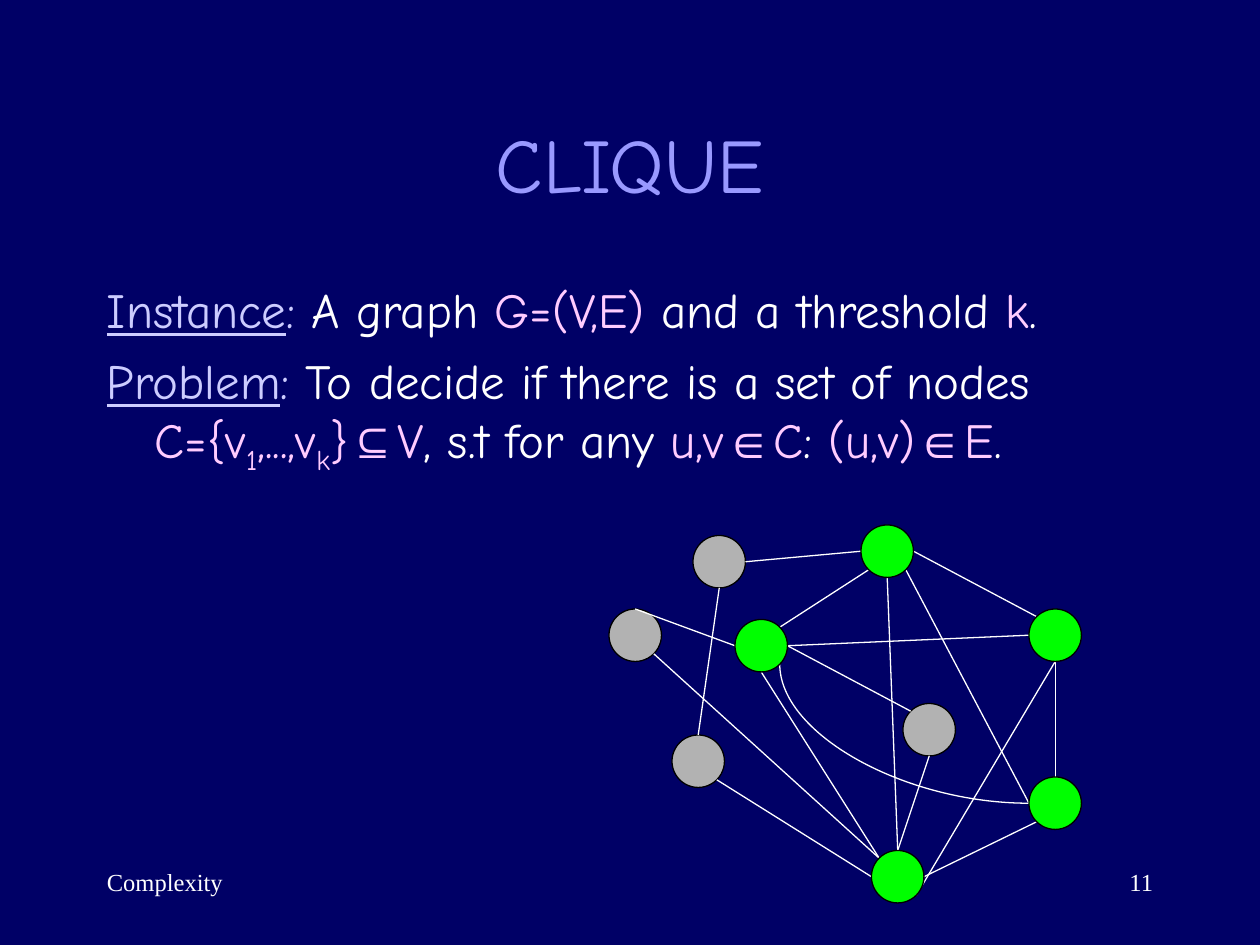
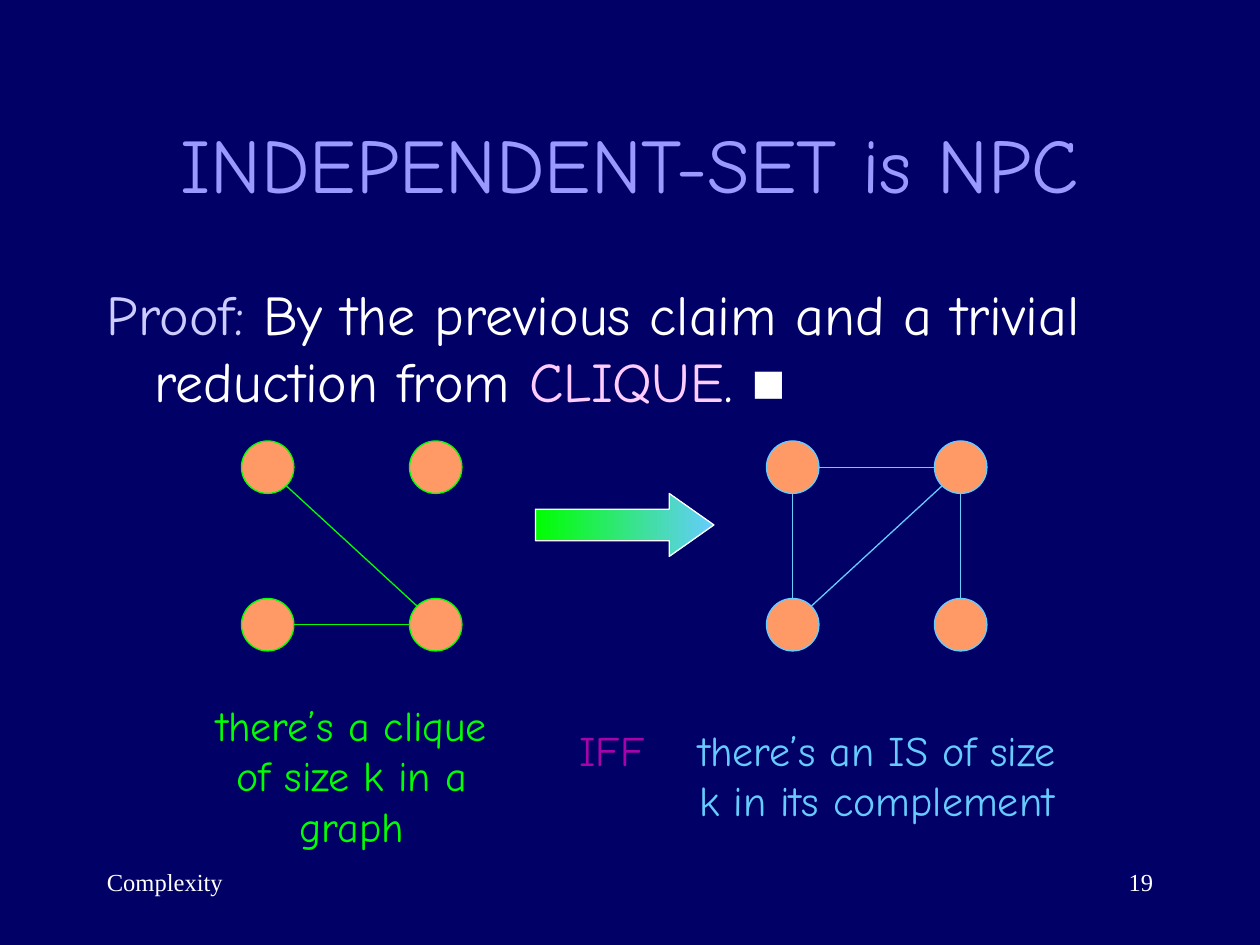
from lxml import etree
from pptx import Presentation
from pptx.dml.color import RGBColor
from pptx.enum.shapes import MSO_CONNECTOR as LINK, MSO_SHAPE as SHAPE
from pptx.enum.text import MSO_ANCHOR as ANCHOR, PP_ALIGN as ALIGN
from pptx.oxml.ns import qn
from pptx.util import Inches, Pt

# The slide is a grid of 120 columns by 90 rows
CELL = Inches(10) / 120
NODE = 5
DIAGONAL = NODE / 2 * 0.7071
HAND, SYMBOL, SERIF = "Comic Neue", "Arial", "Times New Roman"
NAVY, WHITE, BLACK, GREY = "000066", "FFFFFF", "000000", "B2B2B2"
TITLE, LABEL, MATH, PURPLE = "9999FF", "CCCCFF", "FFCCFF", "A603AB"
GREEN, SKY, ORANGE = "00FF00", "66CCFF", "FF9966"
rgb = RGBColor.from_string


def add_text(s, box, paragraphs, size, font=HAND, align=ALIGN.LEFT,
             anchor=ANCHOR.TOP, before=0, hang=0, wrap=True):
    """Each paragraph is a list of runs: (text, colour, *marks).

    Marks are "u" (underline), "sub" (subscript) and "sym" (symbol font).
    """
    tf = s.shapes.add_textbox(*(round(n * CELL) for n in box)).text_frame
    tf.word_wrap, tf.vertical_anchor = wrap, anchor
    for i, runs in enumerate(paragraphs):
        p = tf.add_paragraph() if i else tf.paragraphs[0]
        p.alignment, p.space_before = align, Pt(before)
        if hang:
            pPr = p._p.get_or_add_pPr()
            pPr.set("marL", str(Inches(hang)))
            pPr.set("indent", str(-Inches(hang)))
        for words, colour, *marks in runs:
            r = p.add_run()
            r.text = words
            r.font.size, r.font.color.rgb = Pt(size), rgb(colour)
            r.font.name = SYMBOL if "sym" in marks else font
            if "u" in marks:
                r.font.underline = True
            if "sub" in marks:
                r.font._element.set("baseline", "-25000")


def draw_graph(s, nodes, edges, line, under=()):
    """Draw the nodes in under, then the edges, then the other nodes.

    An edge is "node.side node.side", with compass points as sides.
    """
    def end(name):
        node, side = name.split(".")
        x, y = nodes[node][:2]
        reach = DIAGONAL if len(side) == 2 else NODE / 2
        dx = ("e" in side) - ("w" in side)
        dy = ("s" in side) - ("n" in side)
        return (round((x + NODE / 2 + dx * reach) * CELL),
                round((y + NODE / 2 + dy * reach) * CELL))

    def draw_nodes(names):
        for name in names:
            x, y, fill, outline = nodes[name]
            sp = s.shapes.add_shape(SHAPE.OVAL, *(round(n * CELL) for n in (x, y, NODE, NODE)))
            sp.shadow.inherit = False
            sp.fill.solid()
            sp.fill.fore_color.rgb = rgb(fill)
            sp.line.color.rgb, sp.line.width = rgb(outline), Pt(0.75)

    draw_nodes(under)
    for edge in edges:
        start, stop, *curved = edge.split()
        link = s.shapes.add_connector(LINK.CURVE if curved else LINK.STRAIGHT,
                                      *end(start), *end(stop))
        link.line.color.rgb, link.line.width = rgb(line), Pt(0.75)
        spPr = link._element.spPr
        etree.SubElement(spPr, qn("a:effectLst"))
        if curved:
            spPr.find(qn("a:prstGeom")).set("prst", "curvedConnector2")
    draw_nodes(name for name in nodes if name not in under)


prs = Presentation()
prs.slide_width, prs.slide_height = Inches(10), Inches(7.5)
background = prs.slide_master.background.fill
background.solid()
background.fore_color.rgb = rgb(NAVY)

# Title and footers of both slides
slides = []
for title, number in (("CLIQUE", "11"), ("INDEPENDENT-SET is NPC", "19")):
    s = prs.slides.add_slide(prs.slide_layouts[6])
    add_text(s, (9, 8, 102, 15), [[(title, TITLE)]], 44,
             align=ALIGN.CENTER, anchor=ANCHOR.MIDDLE)
    add_text(s, (86, 82, 25, 6), [[(number, WHITE)]], 14, SERIF, ALIGN.RIGHT)
    add_text(s, (9, 82, 25, 6), [[("Complexity", WHITE)]], 14, SERIF)
    slides.append(s)
clique, independent = slides

# CLIQUE: definition and a graph with a clique of five
add_text(clique, (9, 26, 102, 25), [
    [("Instance", LABEL, "u"), (":", LABEL), (" A graph ", WHITE), ("G=(V,E)", MATH),
     (" and a threshold ", WHITE), ("k", MATH), (".", WHITE)],
    [("Problem", LABEL, "u"), (":", LABEL),
     (" To decide if there is a set of nodes ", WHITE),
     ("C={v", MATH), ("1", MATH, "sub"), (",...,v", MATH), ("k", MATH, "sub"),
     ("}", MATH), ("⊆", MATH, "sym"), ("V", MATH), (", s.t for any ", WHITE),
     ("u,v", MATH), ("∈", MATH, "sym"), ("C", MATH), (": ", WHITE),
     ("(u,v)", MATH), ("∈", MATH, "sym"), ("E", MATH), (".", WHITE)],
], 28, before=7, hang=0.38)

outsiders = {"top": (66, 51), "left": (58, 58), "low": (64, 70), "inner": (86, 67)}
members = {"east": (98, 74), "south": (83, 81), "north_east": (98, 58),
           "west": (70, 59), "north": (82, 50)}
nodes = {name: (*at, GREY, BLACK) for name, at in outsiders.items()}
nodes.update({name: (*at, GREEN, BLACK) for name, at in members.items()})
draw_graph(clique, nodes, [
    "top.s low.n", "west.w left.n", "left.se south.nw", "west.e inner.nw",
    "inner.s south.n", "north.s south.n", "top.e north.w", "north.e north_east.nw",
    "north_east.s east.n", "south.e east.sw", "low.se south.w",
    "north_east.s south.se", "north.se east.w", "west.ne north.sw",
    "west.e north_east.w", "east.w west.se curved", "west.s south.nw",
], WHITE, under=outsiders)

# INDEPENDENT-SET: proof, a graph and its complement
add_text(independent, (9, 26, 102, 15), [
    [("Proof:", LABEL),
     (" By the previous claim and a trivial reduction from ", WHITE),
     ("CLIQUE", MATH), (". ", WHITE), ("■", WHITE, "sym")],
], 32, before=8, hang=0.38)

for left, colour, edges in (
        (23, GREEN, ["nw.se se.nw", "se.w sw.e"]),
        (73, SKY, ["nw.e ne.w", "sw.ne ne.sw", "nw.s sw.n", "se.n ne.s"])):
    corners = {row + column: (left + 16 * j, 42 + 15 * i, ORANGE, colour)
               for i, row in enumerate("ns") for j, column in enumerate("we")}
    draw_graph(independent, corners, edges, colour)

arrow = independent.shapes.add_shape(
    SHAPE.RIGHT_ARROW, *(round(n * CELL) for n in (51, 47, 17, 6)))
arrow.shadow.inherit = False
arrow.adjustments[0], arrow.adjustments[1] = 0.5, 0.71
arrow.fill.gradient()
arrow.fill.gradient_angle = 180
for stop, colour in zip(arrow.fill.gradient_stops, (SKY, GREEN)):
    stop.color.rgb = rgb(colour)
arrow.line.color.rgb, arrow.line.width = rgb(WHITE), Pt(0.75)

for box, words, colour in (
        ((18, 66, 31, 15.6), "there’s a clique of size k in a graph", GREEN),
        ((64, 68.4, 39, 10.8), "there’s an IS of size k in its complement", SKY)):
    add_text(independent, box, [[(words, colour)]], 24, align=ALIGN.CENTER,
             anchor=ANCHOR.MIDDLE, before=15)
add_text(independent, (54, 68, 8.8, 6.8), [[("IFF", PURPLE)]], 24,
         anchor=ANCHOR.MIDDLE, wrap=False)

prs.save("out.pptx")
